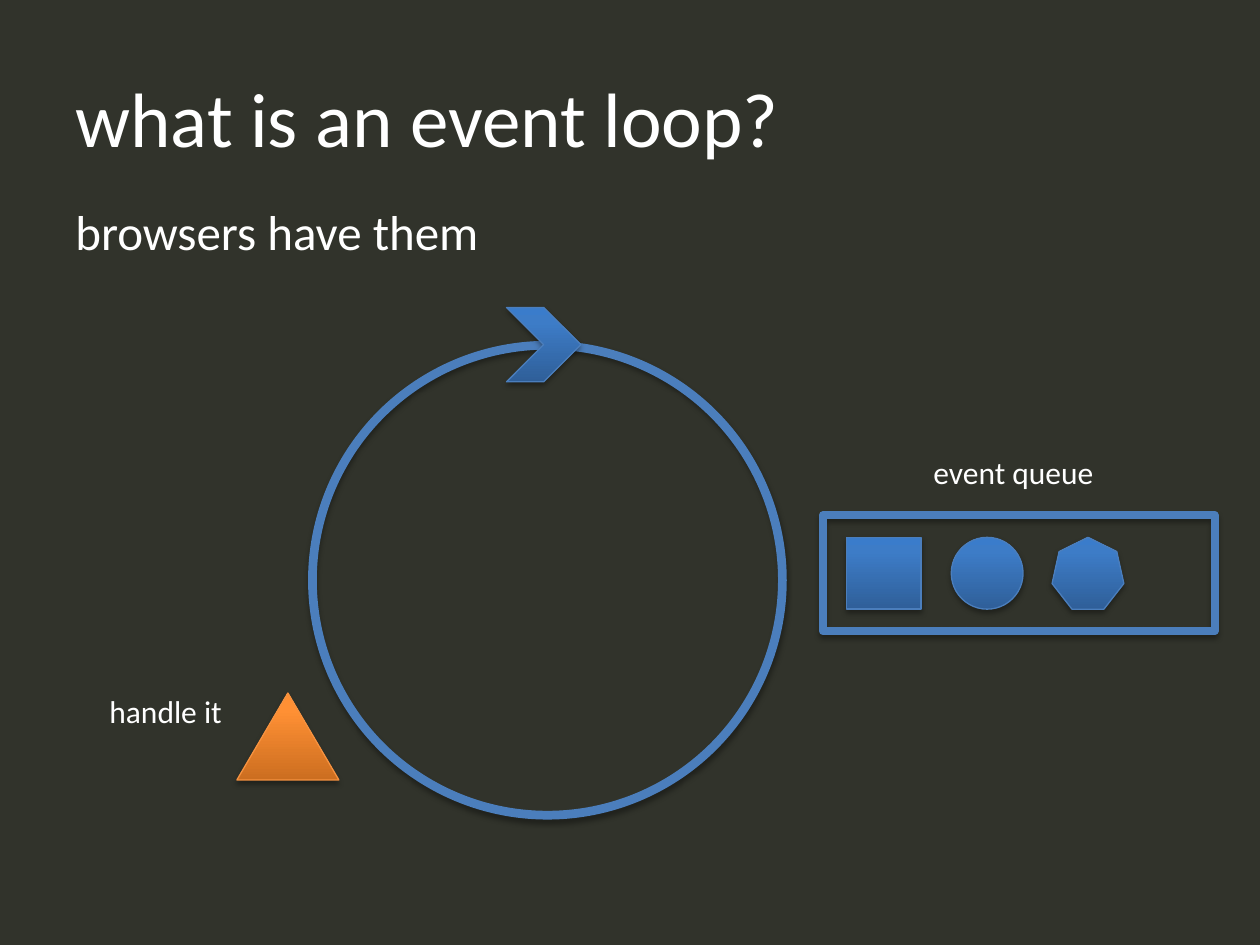
from lxml.etree import SubElement
from pptx import Presentation
from pptx.dml.color import RGBColor
from pptx.enum.shapes import MSO_SHAPE
from pptx.enum.text import MSO_ANCHOR, MSO_AUTO_SIZE, PP_ALIGN
from pptx.oxml.ns import qn
from pptx.util import Inches, Pt

COLORS = {"ground": "31332B", "text": "FFFFFF", "blue": "4B7EBC", "orange": "F69240", "shadow": "000000"}
BLUE_STOPS = ((0, "2F5F99"), (80, "3D7CC7"), (100, "3A7CCB"))
ORANGE_STOPS = ((0, "CC6E20"), (80, "FF9034"), (100, "FF9136"))


def rgb(name):
    """Return a named colour."""
    return RGBColor.from_string(COLORS[name])


def write(frame, words, size):
    """Write one left-aligned line in the slide's font."""
    frame.text = words
    paragraph = frame.paragraphs[0]
    paragraph.alignment = PP_ALIGN.LEFT
    font = paragraph.runs[0].font
    font.name, font.size = "Calibri", Pt(size)
    font.color.rgb = rgb("text")
    return paragraph


def add_text(slide, box, words, size, wrap):
    """Add a text box holding one line."""
    frame = slide.shapes.add_textbox(*map(Inches, box)).text_frame
    frame.word_wrap = wrap
    frame.auto_size = MSO_AUTO_SIZE.NONE if wrap else MSO_AUTO_SIZE.SHAPE_TO_FIT_TEXT
    return write(frame, words, size)


def add_shadow(shape):
    """Give a shape a soft shadow straight below it."""
    shape.shadow.inherit = False
    effects = shape._element.spPr.find(qn("a:effectLst"))
    outer = SubElement(effects, qn("a:outerShdw"), blurRad=str(Pt(3.1)), dist=str(Pt(1.8)),
                       dir="5400000", rotWithShape="0")
    tone = SubElement(outer, qn("a:srgbClr"), val=COLORS["shadow"])
    SubElement(tone, qn("a:alpha"), val="35000")


def shade(shape, stops):
    """Fill a shape with a gradient rising from bottom to top."""
    shape.fill.gradient()
    shape.fill.gradient_angle = 90
    stop_list = shape._element.spPr.find(qn("a:gradFill")).find(qn("a:gsLst"))
    for old in list(stop_list):
        stop_list.remove(old)
    for percent, value in stops:
        stop = SubElement(stop_list, qn("a:gs"), pos=str(percent * 1000))
        SubElement(stop, qn("a:srgbClr"), val=value)


def add_figure(shapes, kind, box, stops=None, line="blue", weight=0.75):
    """Add an outlined preset shape, hollow unless stops are given."""
    figure = shapes.add_shape(kind, *map(Inches, box))
    if stops:
        shade(figure, stops)
    else:
        figure.fill.background()
    figure.line.color.rgb = rgb(line)
    figure.line.width = Pt(weight)
    add_shadow(figure)


def add_heading(slide, left, top, width):
    """Place the title and the statement under it."""
    title = slide.shapes.title
    title.left, title.top, title.width, title.height = map(Inches, (left, top, width, 1.25))
    title.text_frame.vertical_anchor = MSO_ANCHOR.MIDDLE
    write(title.text_frame, "what is an event loop?", 44)
    statement = add_text(slide, (left, top + 1.25, width, 0.77), "browsers have them", 28, True)
    statement.space_before = Pt(5.6)


def add_loop(slide, left, top, size):
    """Draw the ring with the chevron that shows its direction."""
    loop = slide.shapes.add_group_shape()
    add_figure(loop.shapes, MSO_SHAPE.OVAL, (left, top, size, size), weight=5)
    add_figure(loop.shapes, MSO_SHAPE.CHEVRON, (left + 1.54, top - 0.3, 0.59, 0.59), BLUE_STOPS)


def add_queue(slide, left, top, width, height):
    """Draw the labelled queue with its waiting events."""
    add_text(slide, (left + 0.78, top - 0.54, 1.49, 0.4), "event queue", 18, False)
    add_figure(slide.shapes, MSO_SHAPE.RECTANGLE, (left, top, width, height), weight=4.5)
    event = 0.57
    waiting = ((MSO_SHAPE.RECTANGLE, 0.19, 0.59), (MSO_SHAPE.OVAL, 1.02, event),
               (MSO_SHAPE.HEPTAGON, 1.82, event))
    for kind, offset, event_width in waiting:
        box = (left + offset, top + (height - event) / 2, event_width, event)
        add_figure(slide.shapes, kind, box, BLUE_STOPS)


def add_handled_event(slide, left, top, width, height):
    """Draw the event being handled with its label to the left."""
    add_text(slide, (left - 1.11, top - 0.06, 1.1, 0.4), "handle it", 18, False)
    add_figure(slide.shapes, MSO_SHAPE.ISOSCELES_TRIANGLE, (left, top, width, height),
               ORANGE_STOPS, "orange")


def build():
    """Build and save the event loop slide."""
    deck = Presentation()
    deck.slide_width, deck.slide_height = Inches(10), Inches(7.5)
    slide = deck.slides.add_slide(deck.slide_layouts[5])
    slide.background.fill.solid()
    slide.background.fill.fore_color.rgb = rgb("ground")
    add_heading(slide, 0.5, 0.3, 9)
    add_loop(slide, 2.48, 2.74, 3.73)
    add_queue(slide, 6.53, 4.09, 3.11, 0.92)
    add_handled_event(slide, 1.88, 5.5, 0.81, 0.69)
    deck.save("out.pptx")


build()
